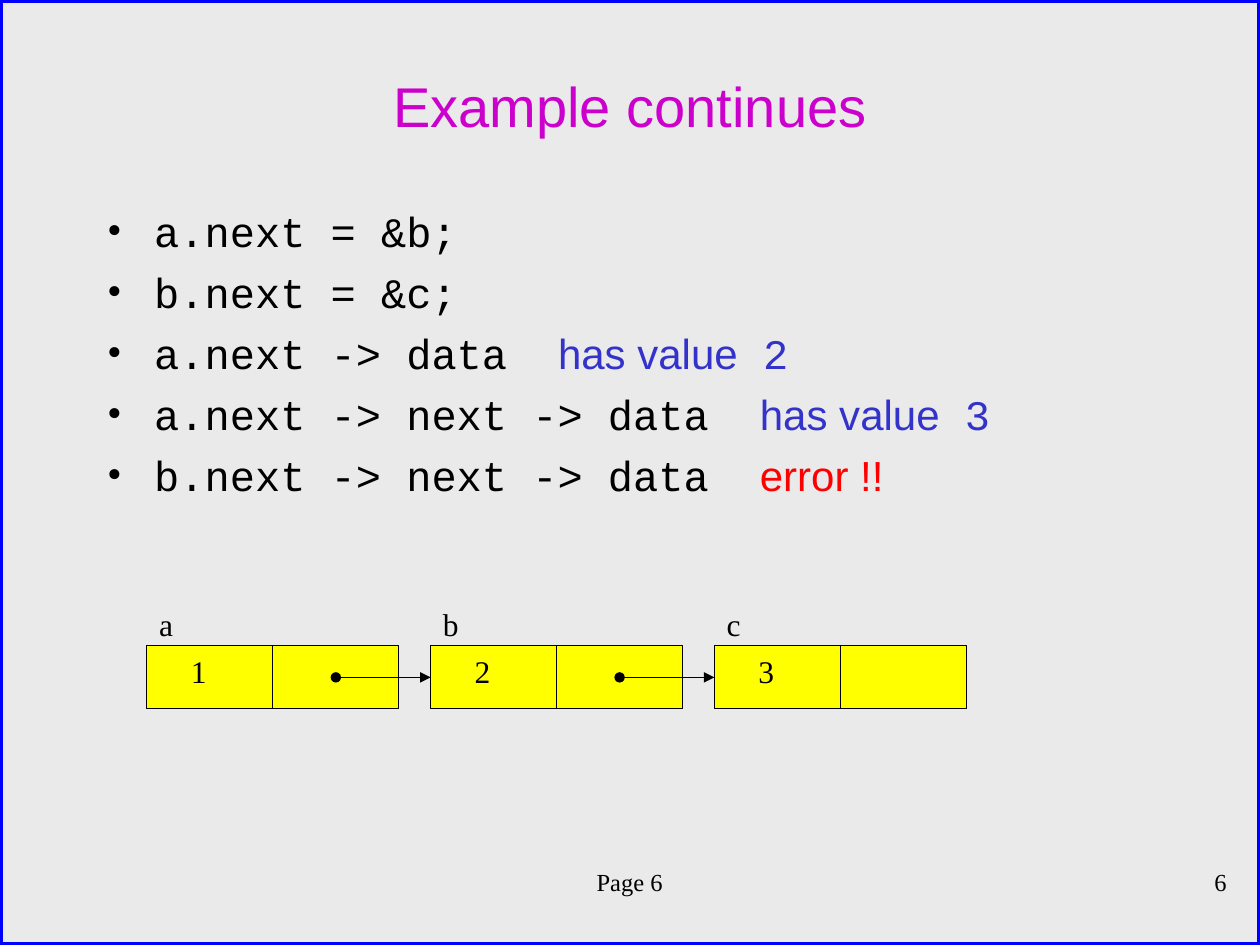
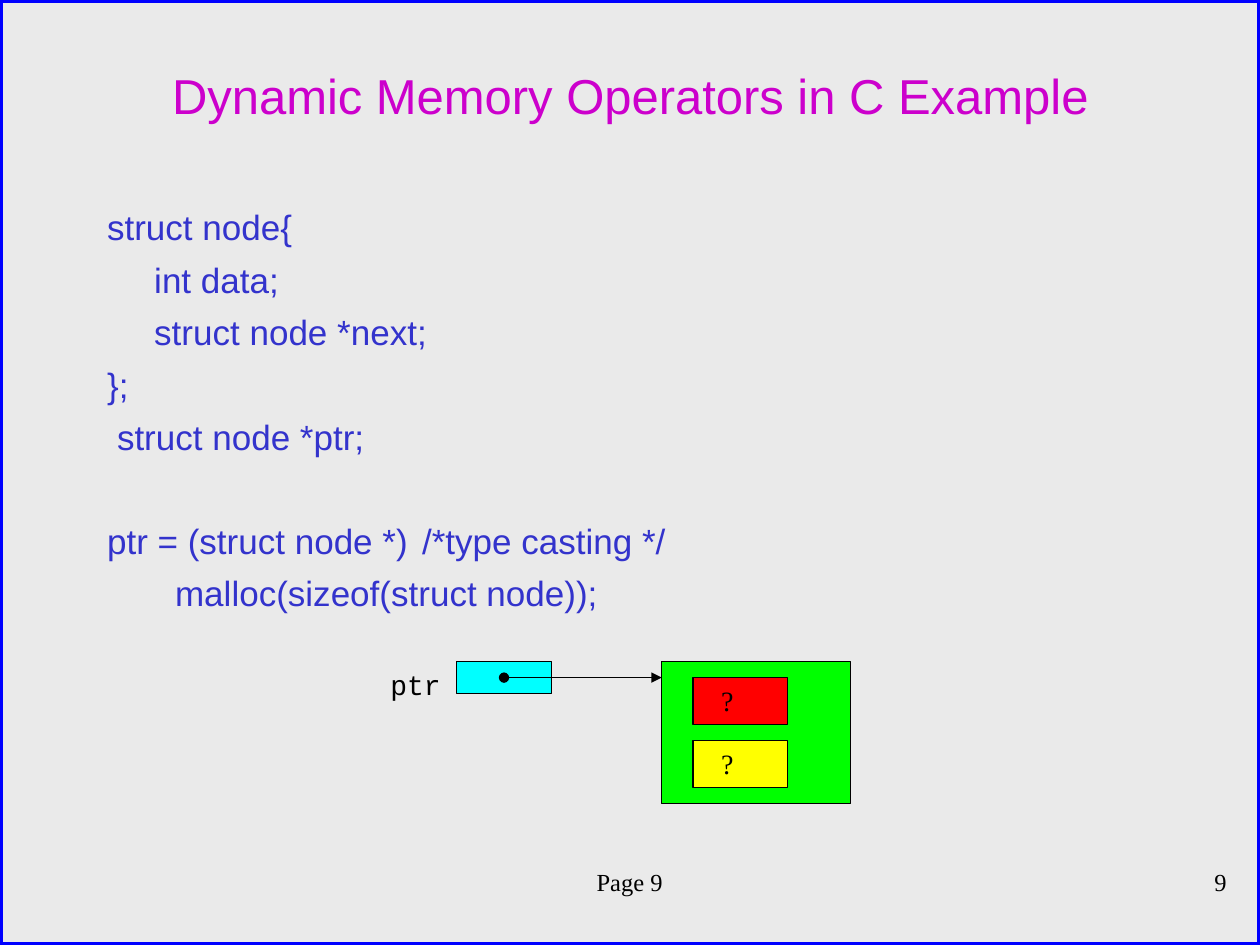
from dataclasses import dataclass

from lxml import etree
from pptx import Presentation
from pptx import util as u
from pptx.dml import color
from pptx.enum import shapes, text
from pptx.oxml import ns
from pptx.slide import Slide


@dataclass(frozen=True)
class Theme:
    paper: str = "EAEAEA"
    frame: str = "0000FF"
    title: str = "CC00CC"
    ink: str = "000000"
    note: str = "3333CC"
    alert: str = "FF0000"
    yellow: str = "FFFF00"
    cyan: str = "00FFFF"
    green: str = "00FF00"
    sans: str = "Arial"
    mono: str = "Courier New"
    serif: str = "Times New Roman"
    title_size: float = 32
    long_title_size: float = 28
    statement_size: float = 24
    code_size: float = 20
    label_size: float = 18
    field_size: float = 16
    footer_size: float = 14
    frame_line: float = 3
    thin_line: float = 0.75
    line_gap: float = 6


THEME = Theme()


@dataclass(frozen=True)
class Box:
    left: float
    top: float
    width: float
    height: float

    def lengths(self) -> tuple[u.Length, ...]:
        return tuple(u.Cm(value) for value in (self.left, self.top, self.width, self.height))


@dataclass(frozen=True)
class Style:
    size: float
    font: str = THEME.serif
    color: str = THEME.ink


@dataclass(frozen=True)
class Piece:
    words: str
    style: Style


@dataclass(frozen=True)
class Line:
    pieces: tuple[Piece, ...]
    indent: float = 0
    hanging: float = 0
    tab: float = 0
    before: float = THEME.line_gap
    bullet: bool = False


@dataclass(frozen=True)
class Node:
    name: str
    value: str


SLIDE = Box(0, 0, 25.4, 19.05)
BODY = Box(1.91, 4.02, 21.59, 13.76)
PAGE = Box(1.69, 17.36, 22.01, 1.27)
NUMBER = Box(19.69, 17.36, 5.29, 1.27)

STATEMENT = Style(THEME.statement_size, THEME.mono)
REMARK = Style(THEME.statement_size, THEME.sans, THEME.note)
RESULT = Style(THEME.statement_size, THEME.mono, THEME.note)
ERROR = Style(THEME.statement_size, THEME.sans, THEME.alert)
CODE = Style(THEME.code_size, THEME.sans, THEME.note)
LABEL = Style(THEME.label_size)
FIELD = Style(THEME.field_size)
POINTER = Style(THEME.field_size, THEME.mono)
FOOTER = Style(THEME.footer_size)


def rgb(value: str) -> color.RGBColor:
    return color.RGBColor.from_string(value)


def add_paragraph_marks(paragraph, line: Line) -> None:
    properties = paragraph._p.get_or_add_pPr()
    properties.set("marL", str(u.Cm(line.indent)))
    properties.set("indent", str(-u.Cm(line.hanging)))
    if line.bullet:
        bullet_color = etree.SubElement(properties, ns.qn("a:buClr"))
        etree.SubElement(bullet_color, ns.qn("a:srgbClr"), val=THEME.ink)
        etree.SubElement(properties, ns.qn("a:buFont"), typeface=THEME.serif)
        etree.SubElement(properties, ns.qn("a:buChar"), char="•")
    else:
        etree.SubElement(properties, ns.qn("a:buNone"))
    if line.tab:
        tabs = etree.SubElement(properties, ns.qn("a:tabLst"))
        etree.SubElement(tabs, ns.qn("a:tab"), pos=str(u.Cm(line.tab)), algn="l")


def add_text(slide: Slide, box: Box, lines: list[Line],
             align: text.PP_ALIGN = text.PP_ALIGN.LEFT,
             anchor: text.MSO_ANCHOR = text.MSO_ANCHOR.TOP) -> None:
    frame = slide.shapes.add_textbox(*box.lengths()).text_frame
    frame.word_wrap = True
    frame.vertical_anchor = anchor
    for index, line in enumerate(lines):
        paragraph = frame.add_paragraph() if index else frame.paragraphs[0]
        add_paragraph_marks(paragraph, line)
        paragraph.alignment = align
        paragraph.space_before = u.Pt(line.before if index else 0)
        for piece in line.pieces:
            run = paragraph.add_run()
            run.text = piece.words
            run.font.size = u.Pt(piece.style.size)
            run.font.name = piece.style.font
            run.font.color.rgb = rgb(piece.style.color)


def add_label(slide: Slide, box: Box, words: str, style: Style,
              align: text.PP_ALIGN = text.PP_ALIGN.LEFT,
              anchor: text.MSO_ANCHOR = text.MSO_ANCHOR.TOP) -> None:
    add_text(slide, box, [Line((Piece(words, style),))], align, anchor)


def add_box(slide: Slide, box: Box, fill: str, line: str = THEME.ink,
            line_width: float = THEME.thin_line) -> None:
    shape = slide.shapes.add_shape(shapes.MSO_SHAPE.RECTANGLE, *box.lengths())
    shape.shadow.inherit = False
    shape.fill.solid()
    shape.fill.fore_color.rgb = rgb(fill)
    shape.line.color.rgb = rgb(line)
    shape.line.width = u.Pt(line_width)


def add_line(slide: Slide, left: float, top: float, right: float, bottom: float,
             arrow: bool = False) -> None:
    connector = slide.shapes.add_connector(
        shapes.MSO_CONNECTOR.STRAIGHT, u.Cm(left), u.Cm(top), u.Cm(right), u.Cm(bottom))
    connector.line.color.rgb = rgb(THEME.ink)
    connector.line.width = u.Pt(THEME.thin_line)
    if arrow:
        outline = connector.line._get_or_add_ln()
        etree.SubElement(outline, ns.qn("a:headEnd"), type="oval")
        etree.SubElement(outline, ns.qn("a:tailEnd"), type="triangle")
    etree.SubElement(connector._element.spPr, ns.qn("a:effectLst"))


def add_page(presentation, title: str, title_size: float, title_height: float,
             number: int) -> Slide:
    slide = presentation.slides.add_slide(presentation.slide_layouts[6])
    slide.background.fill.solid()
    slide.background.fill.fore_color.rgb = rgb(THEME.paper)
    add_box(slide, SLIDE, THEME.paper, THEME.frame, THEME.frame_line)
    add_label(slide, PAGE, f"Page {number}", FOOTER, text.PP_ALIGN.CENTER)
    add_label(slide, NUMBER, str(number), FOOTER, text.PP_ALIGN.RIGHT)
    add_label(slide, Box(1.91, 1.06, 21.59, title_height), title,
              Style(title_size, THEME.sans, THEME.title),
              text.PP_ALIGN.CENTER, text.MSO_ANCHOR.MIDDLE)
    return slide


def statement(code: str, *remarks: Piece, tab: float = 0) -> Line:
    words = f"{code}\t" if remarks else code
    return Line((Piece(words, STATEMENT), *remarks), 0.95, 0.95, tab, bullet=True)


def code_line(words: str, indent: float = 0, tab: float = 0,
              before: float = THEME.line_gap) -> Line:
    return Line((Piece(words, CODE),), indent, tab=tab, before=before)


def add_linked_list(slide: Slide, nodes: list[Node]) -> None:
    left, top, width, height, step = 2.96, 13.02, 5.08, 1.27, 5.72
    for index, node in enumerate(nodes):
        x = left + index * step
        middle = x + width / 2
        add_box(slide, Box(x, top, width, height), THEME.yellow)
        add_line(slide, middle, top, middle, top + height)
        add_label(slide, Box(x, top - 0.95, 1.27, 0.95), node.name, LABEL)
        add_label(slide, Box(x + 0.64, top, 1.27, 0.95), node.value, LABEL)
    for index in range(len(nodes) - 1):
        x = left + index * step
        y = top + height / 2
        add_line(slide, x + width * 0.75, y, x + step, y, arrow=True)


def add_allocated_node(slide: Slide) -> None:
    top, node_left = 13.34, 13.34
    add_box(slide, Box(9.21, top, 1.91, 0.64), THEME.cyan)
    add_box(slide, Box(node_left, top, 3.81, 2.86), THEME.green)
    for index, fill in enumerate((THEME.alert, THEME.yellow)):
        y = top + 0.32 + index * 1.27
        add_box(slide, Box(node_left + 0.63, y, 1.91, 0.95), fill)
        add_label(slide, Box(node_left + 0.95, y, 1.27, 0.95), "?", FIELD)
    add_line(slide, 10.16, top + 0.32, node_left, top + 0.32, arrow=True)
    add_label(slide, Box(7.62, top, 2.22, 0.95), "ptr", POINTER)


def build_example(presentation) -> None:
    slide = add_page(presentation, "Example continues", THEME.title_size, 2.12, 6)
    value = Piece("has value", REMARK)
    add_text(slide, BODY, [
        statement("a.next = &b;"),
        statement("b.next = &c;"),
        statement("a.next -> data", value, Piece(" 2", RESULT), tab=9.09),
        statement("a.next -> next -> data", value, Piece(" 3", RESULT), tab=13.16),
        statement("b.next -> next -> data", Piece("error !!", ERROR), tab=13.16),
    ])
    add_linked_list(slide, [Node("a", "1"), Node("b", "2"), Node("c", "3")])


def build_memory(presentation) -> None:
    slide = add_page(presentation, "Dynamic Memory Operators in C Example",
                     THEME.long_title_size, 1.69, 9)
    add_text(slide, BODY, [
        code_line("struct node{"),
        code_line("int data;", 0.95),
        code_line("struct node *next;", 0.95),
        code_line("};"),
        code_line("struct node *ptr;", 0.2),
        code_line("ptr = (struct node *)\t/*type casting */", tab=6.83, before=35),
        code_line("malloc(sizeof(struct node));", 1.37),
    ])
    add_allocated_node(slide)


def main() -> None:
    presentation = Presentation()
    presentation.slide_width = u.Cm(SLIDE.width)
    presentation.slide_height = u.Cm(SLIDE.height)
    build_example(presentation)
    build_memory(presentation)
    presentation.save("out.pptx")


if __name__ == "__main__":
    main()
